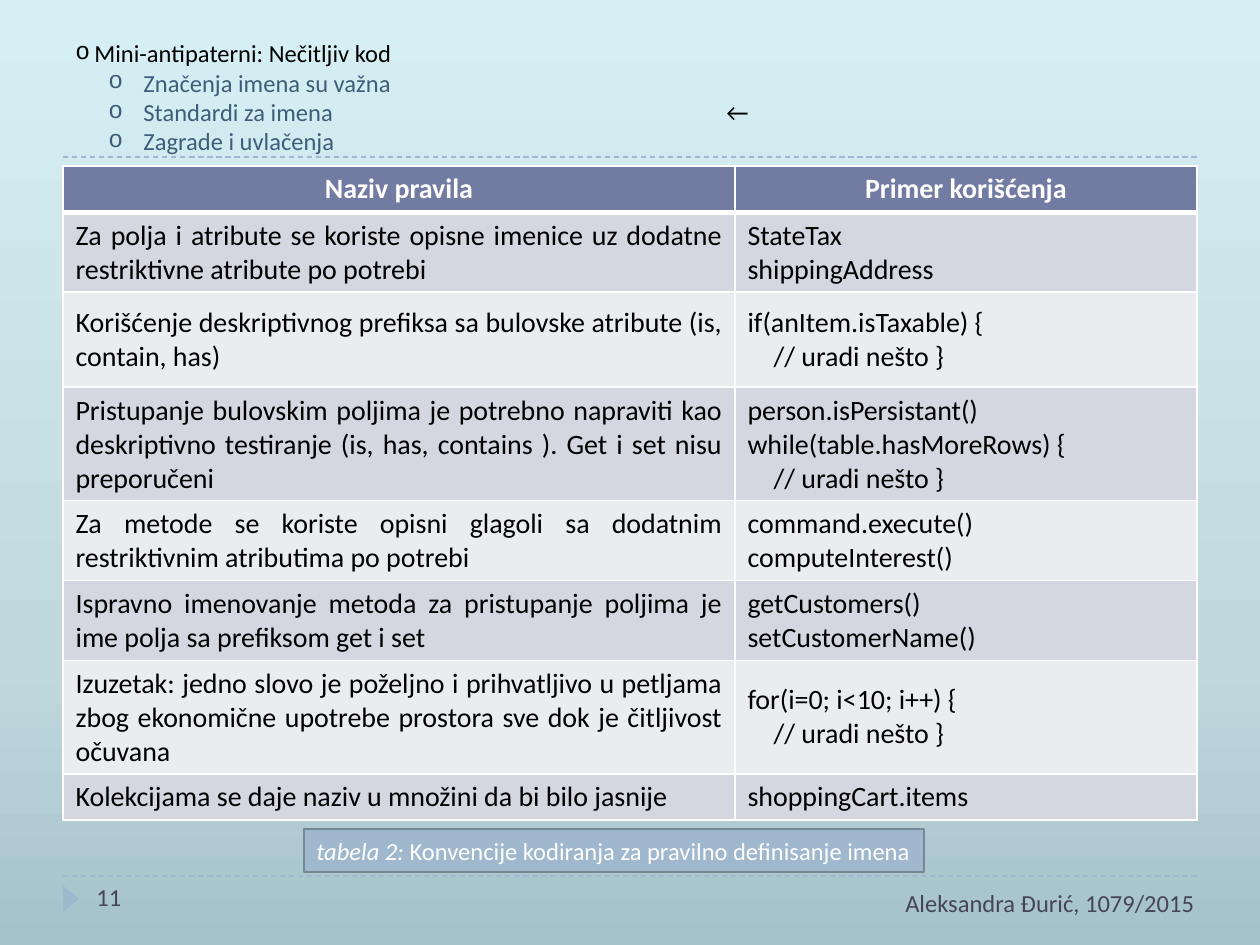
from pptx import Presentation
from pptx.dml.color import RGBColor
from pptx.enum.dml import MSO_LINE
from pptx.enum.shapes import MSO_CONNECTOR, MSO_SHAPE
from pptx.enum.text import MSO_ANCHOR, PP_ALIGN
from pptx.oxml.ns import qn
from pptx.util import Emu, Pt
from lxml.etree import SubElement

PIXEL = 914400 // 126
FONT = "Calibri"
COLORS = {
    "black": "000000", "white": "FFFFFF", "accent": "9FB8CD",
    "caption_line": "768898", "outline": "3E5D78", "footer": "464653",
    "header": "727CA3", "odd": "D5D7E0", "even": "EBECF0",
}
BACKGROUND_STOPS = [(0, "A5C2C9"), (30, "C0D9DF"), (100, "D5EFF5")]
OUTLINE = ["Mini-antipaterni: Nečitljiv kod", "Značenja imena su važna",
           "Standardi za imena", "Zagrade i uvlačenja"]
COLUMN_WIDTHS = [672, 462]
# Row height, rule, example lines; a leading tab marks an indented line
HEADER = (45, "Naziv pravila", "Primer korišćenja")
RULES = [
    (80, "Za polja i atribute se koriste opisne imenice uz dodatne "
         "restriktivne atribute po potrebi", "StateTax\nshippingAddress"),
    (95, "Korišćenje deskriptivnog prefiksa sa bulovske atribute "
         "(is, contain, has)", "if(anItem.isTaxable) {\n\t// uradi nešto }"),
    (113, "Pristupanje bulovskim poljima je potrebno napraviti kao "
          "deskriptivno testiranje (is, has, contains ). Get i set nisu preporučeni",
     "person.isPersistant()\nwhile(table.hasMoreRows) {\n\t// uradi nešto }"),
    (80, "Za metode se koriste opisni glagoli sa dodatnim restriktivnim "
         "atributima po potrebi", "command.execute()\ncomputeInterest()"),
    (80, "Ispravno imenovanje metoda za pristupanje poljima je ime polja "
         "sa prefiksom get i set", "getCustomers()\nsetCustomerName()"),
    (113, "Izuzetak: jedno slovo je poželjno i prihvatljivo u petljama zbog "
          "ekonomične upotrebe prostora sve dok je čitljivost očuvana",
     "for(i=0; i<10; i++) {\n\t// uradi nešto }"),
    (46, "Kolekcijama se daje naziv u množini da bi bilo jasnije",
     "shoppingCart.items"),
]


def px(value):
    return Emu(value * PIXEL)


def rgb(name):
    return RGBColor.from_string(COLORS[name])


def format_runs(paragraph, color, size=14, bold=False):
    for run in paragraph.runs:
        run.font.name, run.font.size, run.font.bold = FONT, Pt(size), bold
        run.font.color.rgb = rgb(color)


def indent(paragraph, left, first=0):
    properties = paragraph._p.get_or_add_pPr()
    properties.set("marL", str(px(left)))
    properties.set("indent", str(px(first)))
    return properties


def add_text(slide, box, text, color, align=PP_ALIGN.LEFT):
    shape = slide.shapes.add_textbox(*map(px, box))
    frame = shape.text_frame
    frame.word_wrap = True
    frame.text = text
    for paragraph in frame.paragraphs:
        paragraph.alignment = align
        format_runs(paragraph, color)
    return frame


def add_background(slide):
    fill = slide.background.fill
    fill.gradient()
    fill.gradient_angle = 90
    stops = slide.element.find(".//" + qn("a:gsLst"))
    for stop in list(stops):
        stops.remove(stop)
    for position, color in BACKGROUND_STOPS:
        stop = SubElement(stops, qn("a:gs"), pos=str(position * 1000))
        SubElement(stop, qn("a:srgbClr"), val=color)


def add_divider(slide, left, top, width):
    line = slide.shapes.add_connector(
        MSO_CONNECTOR.STRAIGHT, px(left), px(top), px(left + width), px(top))
    line.line.color.rgb = rgb("accent")
    line.line.width = Pt(0.75)
    line.line.dash_style = MSO_LINE.DASH
    SubElement(line._element.spPr, qn("a:effectLst"))


def add_outline(slide, left, top, width, height):
    frame = add_text(slide, (left, top, width, height), "\n".join(OUTLINE), "outline")
    for index, paragraph in enumerate(frame.paragraphs):
        if index == 0:
            format_runs(paragraph, "black")
            properties = indent(paragraph, 19, -19)
        else:
            paragraph.level = 1
            properties = indent(paragraph, 68, -35)
        SubElement(properties, qn("a:buFont"), typeface="Courier New")
        SubElement(properties, qn("a:buChar"), char="o")
    # Arrow beside the third line
    add_text(slide, (left + 651, top + 59, 100, 42), "←", "black")


def set_borders(cell, bottom):
    properties = cell._tc.get_or_add_tcPr()
    for side, width in (("L", 1), ("R", 1), ("T", 1), ("B", bottom)):
        line = SubElement(properties, qn("a:ln" + side), w=str(Pt(width)))
        fill = SubElement(line, qn("a:solidFill"))
        SubElement(fill, qn("a:srgbClr"), val=COLORS["white"])


def fill_cell(cell, text, fill, align, header):
    set_borders(cell, 3 if header else 1)
    cell.fill.solid()
    cell.fill.fore_color.rgb = rgb(fill)
    cell.vertical_anchor = MSO_ANCHOR.TOP if header else MSO_ANCHOR.MIDDLE
    lines = text.split("\n")
    cell.text = "\n".join(line.lstrip("\t") for line in lines)
    for line, paragraph in zip(lines, cell.text_frame.paragraphs):
        paragraph.alignment = align
        format_runs(paragraph, "white" if header else "black", 16, header)
        if line.startswith("\t"):
            indent(paragraph, 26)


def add_rules_table(slide, left, top):
    rows = [HEADER] + RULES
    table = slide.shapes.add_table(
        len(rows), len(COLUMN_WIDTHS), px(left), px(top),
        px(sum(COLUMN_WIDTHS)), px(sum(row[0] for row in rows))).table
    for column, width in zip(table.columns, COLUMN_WIDTHS):
        column.width = px(width)
    for index, (height, *texts) in enumerate(rows):
        table.rows[index].height = px(height)
        header = index == 0
        fill = "header" if header else ("even", "odd")[index % 2]
        aligns = [PP_ALIGN.CENTER] * 2 if header else [PP_ALIGN.JUSTIFY, PP_ALIGN.LEFT]
        for column, (text, align) in enumerate(zip(texts, aligns)):
            fill_cell(table.cell(index, column), text, fill, align, header)


def add_filled_shape(slide, kind, box):
    shape = slide.shapes.add_shape(kind, *map(px, box))
    shape.shadow.inherit = False
    shape.fill.solid()
    shape.fill.fore_color.rgb = rgb("accent")
    shape.line.fill.background()
    return shape


def add_caption(slide, left, top, width, height):
    caption = add_filled_shape(slide, MSO_SHAPE.RECTANGLE, (left, top, width, height))
    caption.line.color.rgb = rgb("caption_line")
    caption.line.width = Pt(1.5)
    caption.text_frame.word_wrap = False
    paragraph = caption.text_frame.paragraphs[0]
    paragraph.alignment = PP_ALIGN.LEFT
    for text in ("tabela 2: ", "Konvencije kodiranja za pravilno definisanje imena"):
        paragraph.add_run().text = text
    format_runs(paragraph, "white")
    paragraph.runs[0].font.italic = True


def add_footer(slide, left, top, width):
    add_divider(slide, left, top, width)
    marker = add_filled_shape(slide, MSO_SHAPE.ISOSCELES_TRIANGLE,
                              (left - 5, top + 15, 26, 16))
    marker.rotation = 90
    add_text(slide, (left + 21, top, 273, 50), "11", "footer")
    add_text(slide, (left + 662, top + 6, 482, 63),
             "Aleksandra Đurić, 1079/2015", "footer", PP_ALIGN.RIGHT)


presentation = Presentation()
presentation.slide_width, presentation.slide_height = px(1260), px(945)
slide = presentation.slides.add_slide(presentation.slide_layouts[6])
add_background(slide)
add_divider(slide, 63, 157, 1134)
add_outline(slide, 63, 32, 359, 131)
add_rules_table(slide, 63, 166)
add_caption(slide, 304, 829, 620, 43)
add_footer(slide, 63, 876, 1134)
presentation.save("out.pptx")
